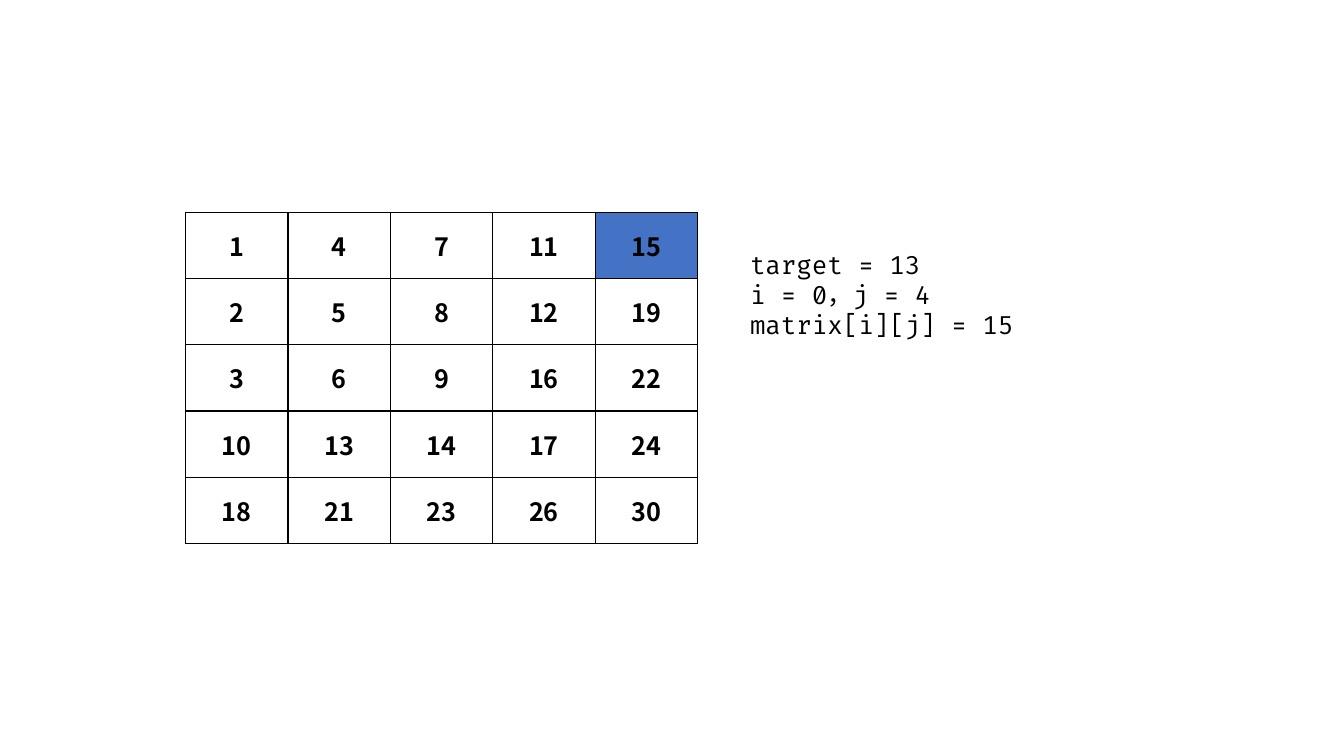
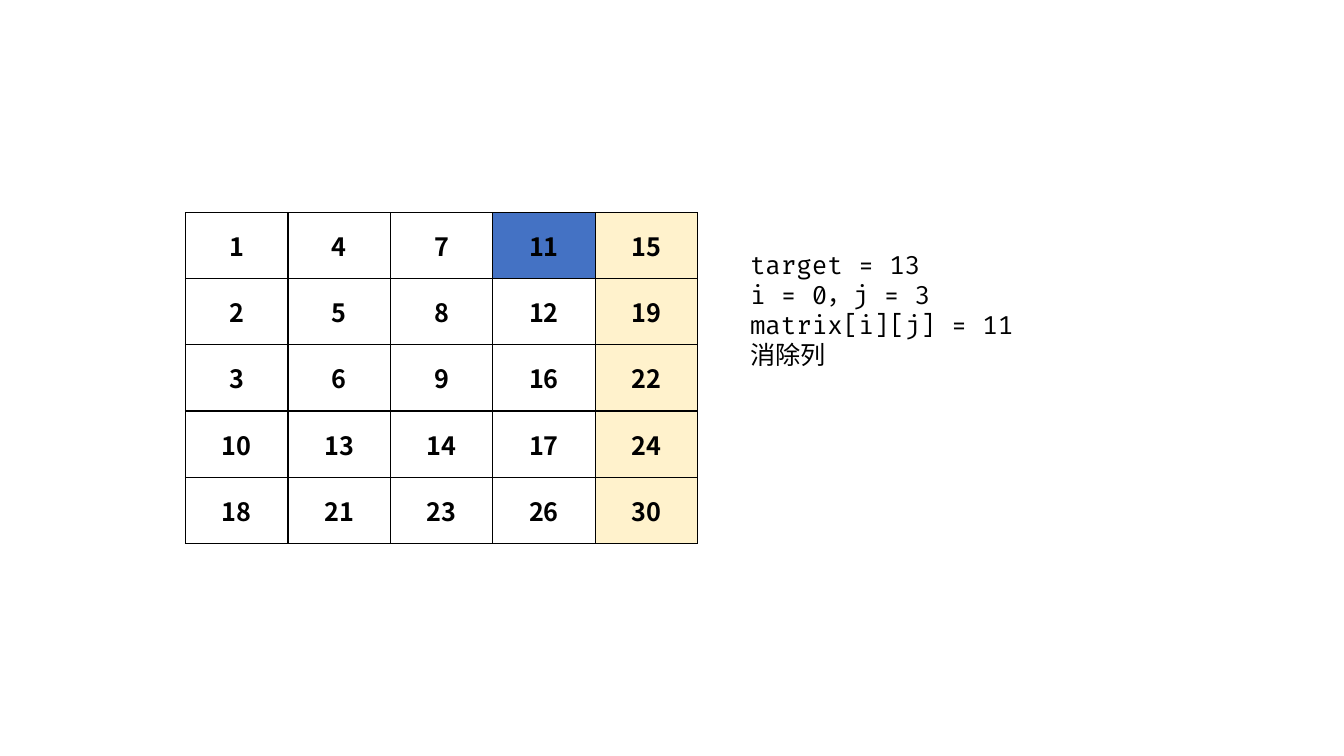
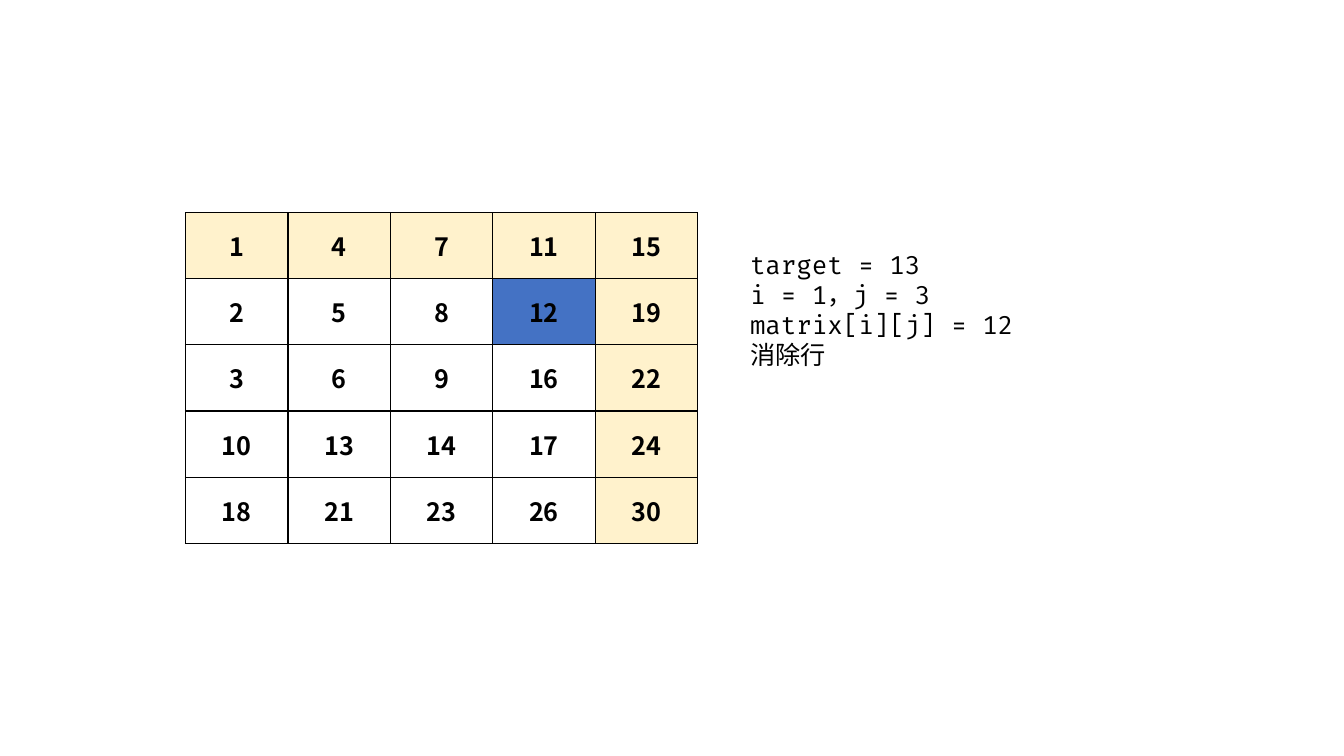
"""Build three slides that trace a staircase search through a sorted matrix."""
from dataclasses import dataclass
from itertools import product

from lxml.etree import SubElement
from pptx import Presentation
from pptx.dml.color import RGBColor as RGB
from pptx.enum.text import MSO_ANCHOR as ANCHOR, MSO_AUTO_SIZE as AUTO, PP_ALIGN as ALIGN
from pptx.oxml.ns import qn
from pptx.util import Inches, Pt

MATRIX = [
    [1, 4, 7, 11, 15],
    [2, 5, 8, 12, 19],
    [3, 6, 9, 16, 22],
    [10, 13, 14, 17, 24],
    [18, 21, 23, 26, 30],
]
TARGET = 13
STEPS = [(0, 4, None), (0, 3, "消除列"), (1, 3, "消除行")]


@dataclass(frozen=True)
class Theme:
    """Colours, fonts and type sizes."""
    ink: str = "000000"
    plain: str = "FFFFFF"
    current: str = "4472C4"
    removed: str = "FFF2CC"
    cell_font: str = "Noto Sans CJK SC"
    code_font: str = "Fira Code"
    size: int = 18
    border: int = 1


T = Theme()
WIDTH, HEIGHT = 13.33, 7.5
GRID_LEFT, GRID_TOP, GRID_W, GRID_H = 1.84, 2.11, 5.08, 3.28
NOTE_LEFT, NOTE_TOP, NOTE_W = 7.34, 2.42, 4.15
NOTE_PAD, NOTE_LINE = 0.1, 0.3


def add_run(p, text, font, bold=False):
    """Add one styled run to a paragraph."""
    r = p.add_run()
    r.text = text
    for key, value in {"name": font, "size": Pt(T.size), "bold": bold}.items():
        setattr(r.font, key, value)
    r.font.color.rgb = RGB.from_string(T.ink)
    SubElement(r.font._element, qn("a:ea"), typeface=T.cell_font)


def set_borders(cell):
    """Rule all four sides of a cell."""
    tc_pr = cell._tc.get_or_add_tcPr()
    for side in ("lnL", "lnR", "lnT", "lnB"):
        ln = SubElement(tc_pr, qn(f"a:{side}"), w=str(Pt(T.border)))
        fill = SubElement(ln, qn("a:solidFill"))
        SubElement(fill, qn("a:srgbClr"), val=T.ink)


def cell_colour(row, col, i, j):
    """Return the fill of a cell when the search stands at (i, j)."""
    if (row, col) == (i, j):
        return T.current
    return T.removed if row < i or col > j else T.plain


def add_matrix(s, i, j):
    """Draw the matrix as a table."""
    rows, cols = len(MATRIX), len(MATRIX[0])
    box = map(Inches, (GRID_LEFT, GRID_TOP, GRID_W, GRID_H))
    table = s.shapes.add_table(rows, cols, *box).table
    table.first_row = table.horz_banding = False
    for row, col in product(range(rows), range(cols)):
        cell = table.cell(row, col)
        cell.vertical_anchor = ANCHOR.MIDDLE
        set_borders(cell)
        cell.fill.solid()
        cell.fill.fore_color.rgb = RGB.from_string(cell_colour(row, col, i, j))
        p = cell.text_frame.paragraphs[0]
        p.alignment = ALIGN.CENTER
        add_run(p, str(MATRIX[row][col]), T.cell_font, bold=True)


def add_note(s, i, j, action):
    """Write the state of the search beside the matrix."""
    lines = [f"target = {TARGET}", f"i = {i}，j = {j}", f"matrix[i][j] = {MATRIX[i][j]}"]
    if action:
        lines.append(action)
    height = NOTE_PAD + NOTE_LINE * len(lines)
    tf = s.shapes.add_textbox(*map(Inches, (NOTE_LEFT, NOTE_TOP, NOTE_W, height))).text_frame
    tf.word_wrap = True
    tf.auto_size = AUTO.SHAPE_TO_FIT_TEXT
    for n, line in enumerate(lines):
        add_run(tf.add_paragraph() if n else tf.paragraphs[0], line, T.code_font)


def main():
    """Build and save the slides."""
    prs = Presentation()
    prs.slide_width, prs.slide_height = Inches(WIDTH), Inches(HEIGHT)
    for i, j, action in STEPS:
        s = prs.slides.add_slide(prs.slide_layouts[6])
        add_matrix(s, i, j)
        add_note(s, i, j, action)
    prs.save("out.pptx")


if __name__ == "__main__":
    main()
